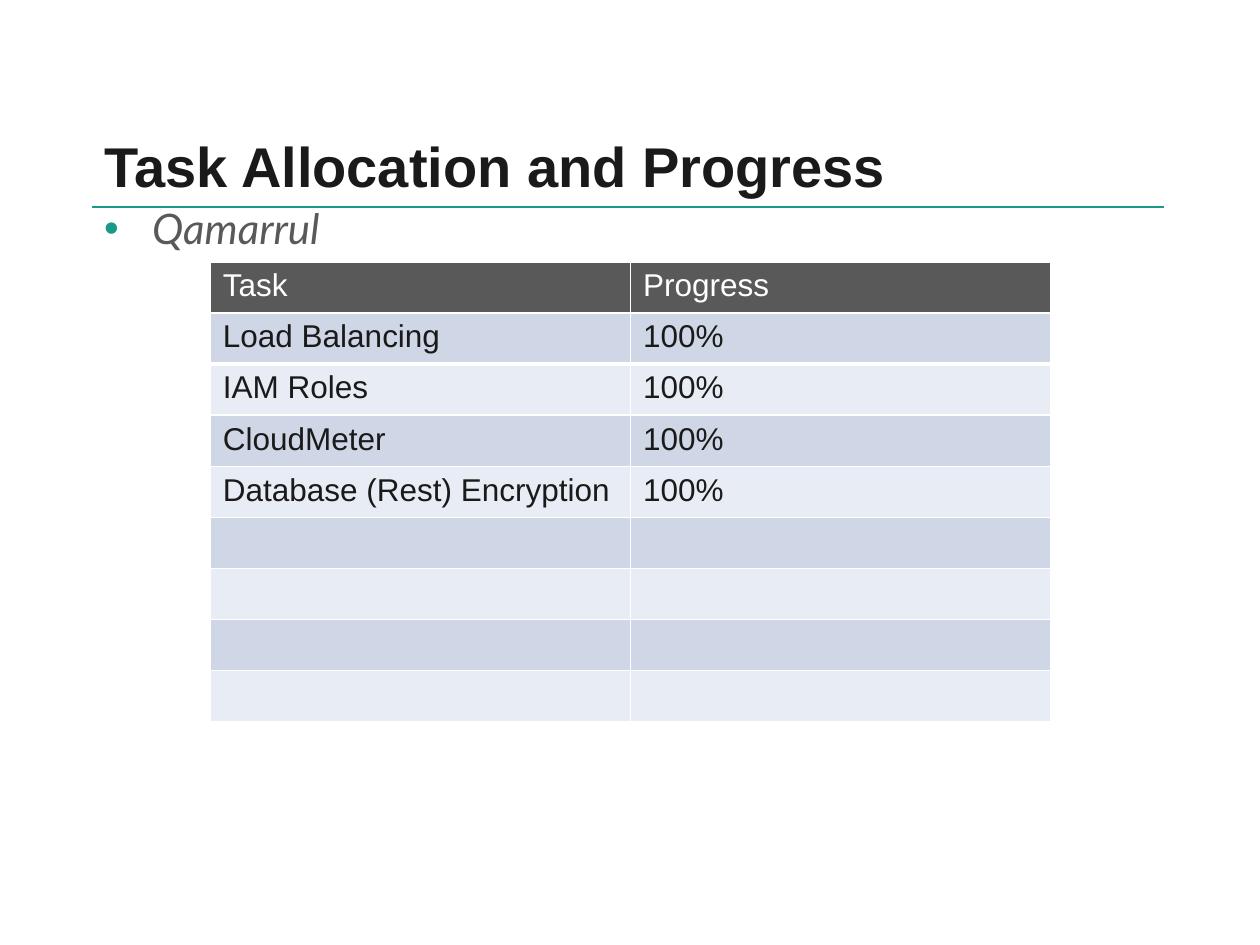
"""Build the task allocation and progress slide."""
from lxml import etree
from pptx import Presentation, util as u
from pptx.dml.color import RGBColor
from pptx.enum import shapes, text
from pptx.oxml import ns

TITLE = "Task Allocation and Progress"
MEMBER = "Qamarrul"
ROWS = [
    ("Task", "Progress"),
    ("Load Balancing", "100%"),
    ("IAM Roles", "100%"),
    ("CloudMeter", "100%"),
    ("Database (Rest) Encryption", "100%"),
] + [("", "")] * 4

TEAL, INK, GREY, WHITE = "1A9988", "1A1A1A", "595959", "FFFFFF"
BANDS = ("E8ECF4", "CFD7E7")
LEFT, WIDTH, RULE_Y = 1.85, 21.62, 4.17
TABLE_LEFT, TABLE_TOP, COL_W, ROW_H = 4.24, 5.28, 8.47, 1.03
THICK_EDGES = {(1, "lnB"), (2, "lnT")}

TITLE_FONT = {"name": "Arial", "size": u.Pt(32), "bold": True}
MEMBER_FONT = {"name": "Lato", "size": u.Pt(24), "italic": True}
CELL_FONT = {"name": "Arial", "size": u.Pt(18), "bold": False}


def rgb(value):
    return RGBColor.from_string(value)


def sub(parent, tag, **attrs):
    return etree.SubElement(parent, ns.qn(tag), attrs)


def style(font, formats, color):
    for name, value in formats.items():
        setattr(font, name, value)
    font.color.rgb = rgb(color)


def add_text(s, top, height, words, formats, color, anchor):
    tf = s.shapes.add_textbox(u.Cm(LEFT), u.Cm(top), u.Cm(WIDTH), u.Cm(height)).text_frame
    tf.word_wrap = True
    tf.vertical_anchor = anchor
    p = tf.paragraphs[0]
    r = p.add_run()
    r.text = words
    style(r.font, formats, color)
    return p


def add_bullet(p, indent):
    pPr = p._p.get_or_add_pPr()
    pPr.set("marL", str(u.Cm(indent)))
    pPr.set("indent", str(-u.Cm(indent)))
    sub(sub(pPr, "a:buClr"), "a:srgbClr", val=TEAL)
    sub(pPr, "a:buFont", typeface="Arial")
    sub(pPr, "a:buChar", char="•")


def add_rule(s):
    line = s.shapes.add_connector(
        shapes.MSO_CONNECTOR.STRAIGHT,
        u.Cm(LEFT), u.Cm(RULE_Y), u.Cm(LEFT + WIDTH), u.Cm(RULE_Y))
    line.line.color.rgb = rgb(TEAL)
    line.line.width = u.Pt(0.75)
    sub(line._element.spPr, "a:effectLst")


def add_borders(cell, row):
    tcPr = cell._tc.get_or_add_tcPr()
    for i, edge in enumerate(("lnL", "lnR", "lnT", "lnB")):
        width = u.Pt(3 if (row, edge) in THICK_EDGES else 1)
        ln = sub(tcPr, f"a:{edge}", w=str(width))
        sub(sub(ln, "a:solidFill"), "a:srgbClr", val=WHITE)
        tcPr.insert(i, ln)


def add_tasks(s):
    cols = len(ROWS[0])
    table = s.shapes.add_table(
        len(ROWS), cols, u.Cm(TABLE_LEFT), u.Cm(TABLE_TOP),
        u.Cm(COL_W * cols), u.Cm(ROW_H * len(ROWS))).table
    for i, row in enumerate(ROWS):
        table.rows[i].height = u.Cm(ROW_H)
        for j, words in enumerate(row):
            cell = table.cell(i, j)
            cell.text = words
            style(cell.text_frame.paragraphs[0].font, CELL_FONT, INK if i else WHITE)
            cell.fill.solid()
            cell.fill.fore_color.rgb = rgb(BANDS[i % 2] if i else GREY)
            add_borders(cell, i)


def main():
    prs = Presentation()
    prs.slide_width, prs.slide_height = u.Cm(25.4), u.Cm(19.05)
    s = prs.slides.add_slide(prs.slide_layouts[6])
    add_rule(s)
    add_text(s, 2.49, 1.68, TITLE, TITLE_FONT, INK, text.MSO_ANCHOR.MIDDLE)
    p = add_text(s, 3.96, 12.55, MEMBER, MEMBER_FONT, GREY, text.MSO_ANCHOR.TOP)
    add_bullet(p, 0.97)
    add_tasks(s)
    prs.save("out.pptx")


if __name__ == "__main__":
    main()
